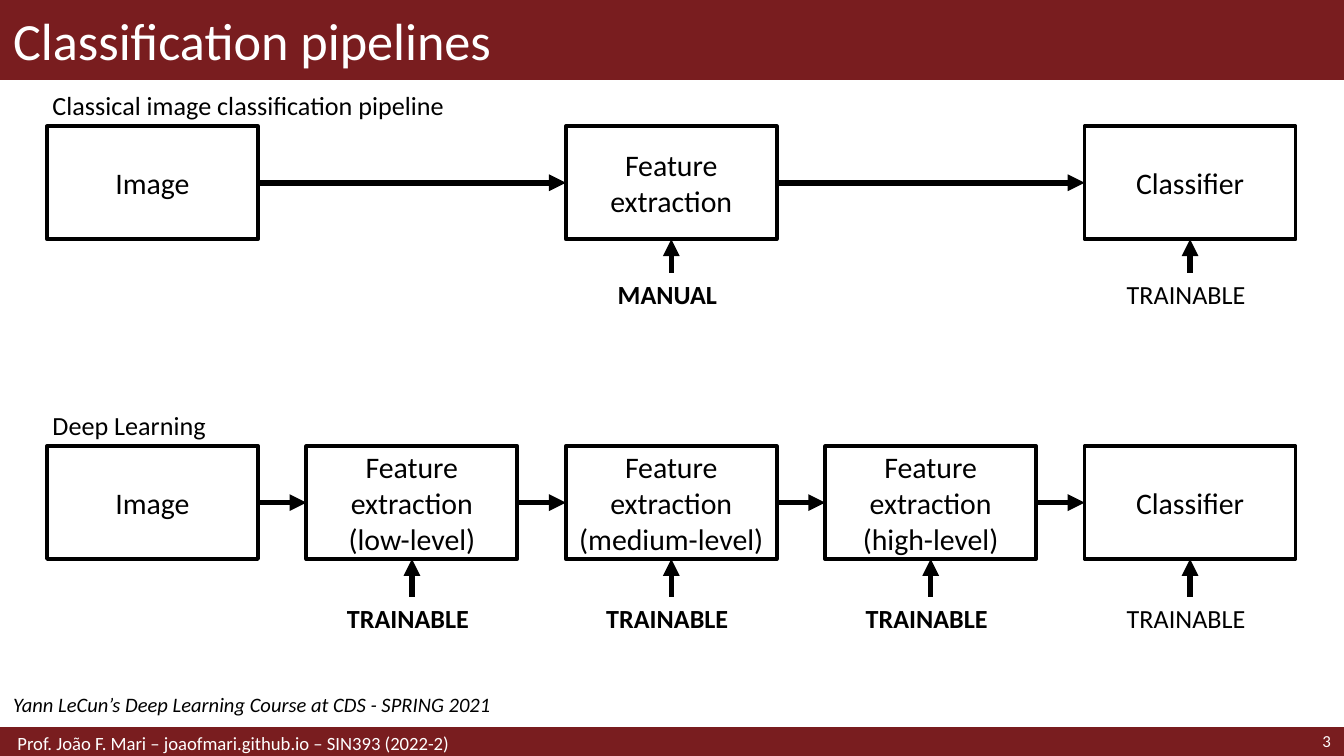
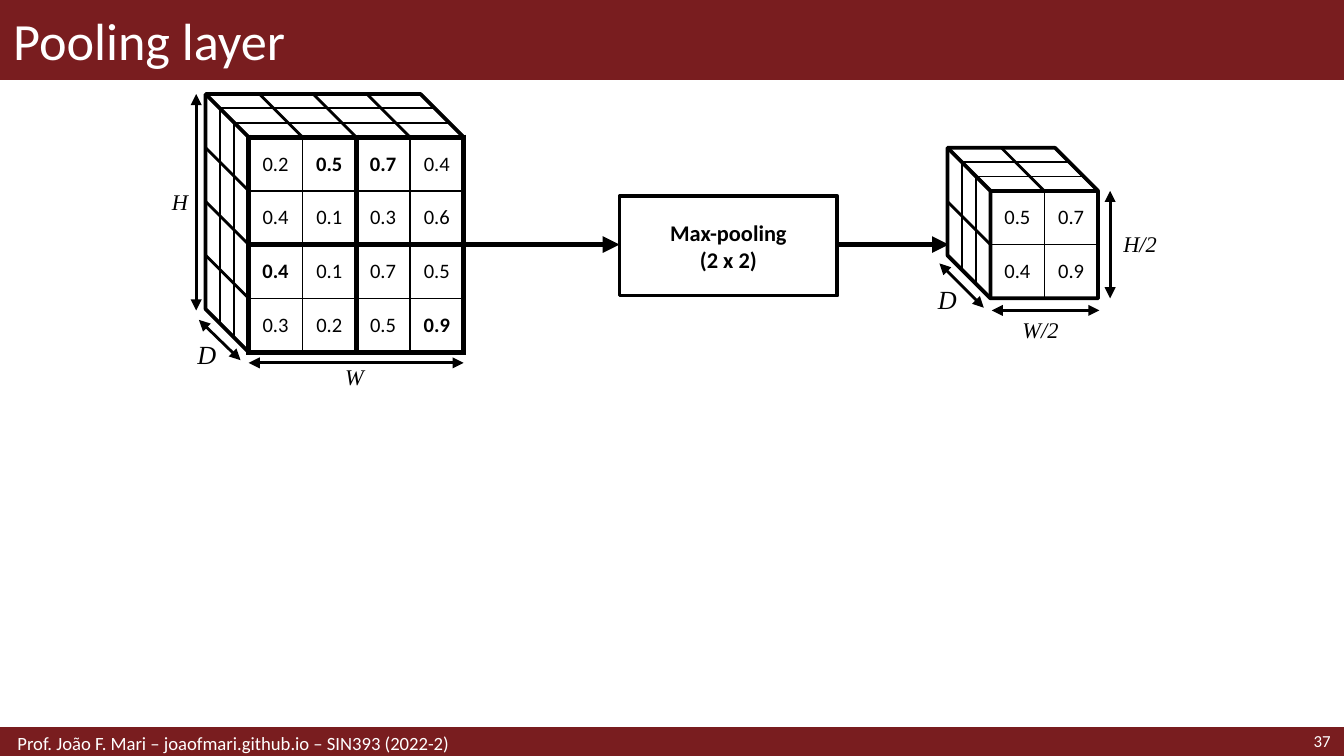
import pptx
import pptx.util
import pptx.dml.color
import pptx.enum.shapes
import pptx.enum.text
import pptx.oxml.ns
from lxml import etree

Inches = pptx.util.Inches
Pt = pptx.util.Pt
Align = pptx.enum.text.PP_ALIGN
Anchor = pptx.enum.text.MSO_ANCHOR
Shapes = pptx.enum.shapes.MSO_SHAPE

# Shared look
COLORS = {"band": "791D1F", "ink": "000000", "paper": "FFFFFF"}
SANS, SERIF = "Calibri", "Times New Roman"
FORMATS = {
    "title": {"size": Pt(28), "name": SANS},
    "footer": {"size": Pt(10), "name": SANS},
    "number": {"size": Pt(9), "name": SANS},
    "source": {"size": Pt(11), "name": SANS, "italic": True},
    "stage": {"size": Pt(16), "name": SANS},
    "label": {"size": Pt(14), "name": SANS},
    "strong label": {"size": Pt(14), "name": SANS, "bold": True},
    "layer": {"size": Pt(12), "name": SANS, "bold": True},
    "cell": {"size": Pt(11), "name": SANS},
    "strong cell": {"size": Pt(11), "name": SANS, "bold": True},
    "dimension": {"size": Pt(12), "name": SERIF, "italic": True},
    "depth": {"size": Pt(14), "name": SERIF, "italic": True},
}
INSETS = (0.1, 0.05, 0.1, 0.05)
LABEL_INSETS = (0.04, 0.05, 0.1, 0.05)
SLIDE_WIDTH = 10
SLIDE_HEIGHT = SLIDE_WIDTH * 9 / 16
FOOTER = "Prof. João F. Mari – joaofmari.github.io – SIN393 (2022-2)"

# Pipelines: stages are (column, lines, caption, caption format)
PIPELINES = [
    {"name": "Classical image classification pipeline", "top": 0.94, "caption_top": 2.03,
     "stages": [
         (0, ["Image"], None, None),
         (2, ["Feature extraction"], "MANUAL", "strong label"),
         (4, ["Classifier"], "TRAINABLE", "label")]},
    {"name": "Deep Learning", "top": 3.32, "caption_top": 4.44,
     "stages": [
         (0, ["Image"], None, None),
         (1, ["Feature extraction", "(low-level)"], "TRAINABLE", "strong label"),
         (2, ["Feature extraction", "(medium-level)"], "TRAINABLE", "strong label"),
         (3, ["Feature extraction", "(high-level)"], "TRAINABLE", "strong label"),
         (4, ["Classifier"], "TRAINABLE", "label")]},
]
SOURCE = "Yann LeCun’s Deep Learning Course at CDS - SPRING 2021"
STAGE_LEFT, STAGE_STEP, STAGE_WIDTH, STAGE_HEIGHT = 0.35, 1.93, 1.57, 0.84

# Pooling: input and output volumes
VOLUMES = [
    {"left": 1.85, "top": 1.02, "window": 2,
     "values": [[0.2, 0.5, 0.7, 0.4], [0.4, 0.1, 0.3, 0.6],
                [0.4, 0.1, 0.7, 0.5], [0.3, 0.2, 0.5, 0.9]]},
    {"left": 7.37, "top": 1.42, "window": None, "values": [[0.5, 0.7], [0.4, 0.9]]},
]
CELL, DEPTH, CHANNELS = 0.4, 0.32, 3
DIMENSIONS = [  # text, format, text place, arrow start, arrow end
    ("H", "dimension", (1.18, 1.35, 0.31, 0.3), (1.46, 2.31), (1.46, 0.7)),
    ("D", "depth", (1.37, 2.47, 0.31, 0.34), (1.48, 2.38), (1.79, 2.68)),
    ("W", "dimension", (2.47, 2.65, 0.36, 0.3), (1.85, 2.7), (3.45, 2.7)),
    ("H/2", "dimension", (8.26, 1.66, 0.57, 0.3), (8.26, 2.22), (8.26, 1.42)),
    ("D", "depth", (6.88, 2.06, 0.31, 0.34), (6.99, 1.96), (7.32, 2.29)),
    ("W/2", "dimension", (7.51, 2.3, 0.53, 0.3), (7.38, 2.31), (8.18, 2.31)),
]
POOL_LINES = ["Max-pooling", "(2 x 2)"]
POOL_PLACE = (4.61, 1.46, 1.62, 0.74)
FLOW_Y = 1.82
FLOW_ARROWS = [(3.45, 4.61), (6.23, 7.06)]


def rgb(color):
    return pptx.dml.color.RGBColor.from_string(COLORS[color])


def write(frame, lines, style, color="ink", align=Align.LEFT):
    for index, line in enumerate(lines):
        para = frame.add_paragraph() if index else frame.paragraphs[0]
        para.alignment = align
        span = para.add_run()
        span.text = line
        for key, value in FORMATS[style].items():
            setattr(span.font, key, value)
        span.font.color.rgb = rgb(color)


def set_frame(frame, anchor, insets, wrap=True):
    frame.word_wrap = wrap
    frame.vertical_anchor = anchor
    for side, inset in zip(("left", "top", "right", "bottom"), insets):
        setattr(frame, "margin_" + side, Inches(inset))


def add_text(page, place, text, style, color="ink", align=Align.LEFT,
             anchor=Anchor.MIDDLE, insets=INSETS, wrap=True):
    box = page.shapes.add_textbox(*map(Inches, place))
    set_frame(box.text_frame, anchor, insets, wrap)
    write(box.text_frame, [text], style, color, align)


def add_outline(page, kind, place, fill=None, line="ink", width=2):
    shape = page.shapes.add_shape(kind, *map(Inches, place))
    shape.shadow.inherit = False
    if fill:
        shape.fill.solid()
        shape.fill.fore_color.rgb = rgb(fill)
    else:
        shape.fill.background()
    shape.line.color.rgb = rgb(line)
    shape.line.width = Pt(width)
    return shape


def add_block(page, place, lines, style):
    block = add_outline(page, Shapes.RECTANGLE, place)
    set_frame(block.text_frame, Anchor.MIDDLE, INSETS)
    write(block.text_frame, lines, style, align=Align.CENTER)


def add_line(page, start, end, width, ends=()):
    line = page.shapes.add_connector(
        pptx.enum.shapes.MSO_CONNECTOR.STRAIGHT, *map(Inches, start + end))
    line.line.color.rgb = rgb("ink")
    line.line.width = Pt(width)
    outline = line.line._get_or_add_ln()
    for end_name in ends:
        etree.SubElement(outline, pptx.oxml.ns.qn("a:" + end_name), type="triangle")
    etree.SubElement(line._element.spPr, pptx.oxml.ns.qn("a:effectLst"))


def add_border(cell, side, width):
    properties = cell._tc.get_or_add_tcPr()
    border = etree.SubElement(properties, pptx.oxml.ns.qn("a:ln" + side), w=str(Pt(width)))
    fill = etree.SubElement(border, pptx.oxml.ns.qn("a:solidFill"))
    etree.SubElement(fill, pptx.oxml.ns.qn("a:srgbClr"), val=COLORS["ink"])


def add_page(deck, title, number):
    page = deck.slides.add_slide(deck.slide_layouts[6])
    for place, width in (((0, 0, 10, 0.59), 1), ((0, 5.42, 10, 0.21), 2)):
        add_outline(page, Shapes.RECTANGLE, place, "band", "band", width)
    add_text(page, (0, 0, 10, 0.59), title, "title", "paper")
    add_text(page, (8.86, 5.41, 1.14, 0.21), str(number), "number", "paper", Align.RIGHT)
    add_text(page, (0, 5.42, 6.89, 0.21), FOOTER, "footer", "paper",
             insets=(0.13, 0.05, 0.1, 0.05))
    return page


def add_pipeline(page, name, top, caption_top, stages):
    add_text(page, (STAGE_LEFT, top - 0.31, 5.51, 0.31), name, "label", insets=LABEL_INSETS)
    middle, bottom = top + STAGE_HEIGHT / 2, top + STAGE_HEIGHT
    previous_right = None
    for column, lines, caption, style in stages:
        left = STAGE_LEFT + column * STAGE_STEP
        center = left + STAGE_WIDTH / 2
        add_block(page, (left, top, STAGE_WIDTH, STAGE_HEIGHT), lines, "stage")
        if previous_right:
            add_line(page, (previous_right, middle), (left, middle), 3, ["tailEnd"])
        if caption:
            add_text(page, (left, caption_top, STAGE_WIDTH, 0.31), caption, style,
                     align=Align.CENTER, insets=LABEL_INSETS)
            add_line(page, (center, caption_top), (center, bottom), 3, ["tailEnd"])
        previous_right = left + STAGE_WIDTH


def window_max(values, row, column, window):
    top, left = row - row % window, column - column % window
    return max(max(line[left:left + window]) for line in values[top:top + window])


def add_grid(page, left, top, values, window):
    count = len(values)
    side = Inches(count * CELL)
    table = page.shapes.add_table(count, count, Inches(left), Inches(top), side, side).table
    table.first_row = table.horz_banding = False
    for index in range(count):
        table.rows[index].height = table.columns[index].width = Inches(CELL)

    def edge(index):
        return 3 if window and index % window == 0 else 1

    for row, line in enumerate(values):
        for column, value in enumerate(line):
            cell = table.cell(row, column)
            borders = {"L": column, "R": column + 1, "T": row, "B": row + 1}
            for name, index in borders.items():
                add_border(cell, name, edge(index))
            cell.fill.background()
            cell.vertical_anchor = Anchor.MIDDLE
            for name in ("left", "top", "right", "bottom"):
                setattr(cell, "margin_" + name, Inches(0.05))
            strong = window and value == window_max(values, row, column, window)
            write(cell.text_frame, [str(value)], "strong cell" if strong else "cell",
                  align=Align.CENTER)


def add_volume(page, left, top, values, window):
    add_grid(page, left, top, values, window)
    side = len(values) * CELL
    size = side + DEPTH
    cube = add_outline(page, Shapes.CUBE, (left - DEPTH, top - DEPTH, size, size))
    cube.rotation = 270
    cube.adjustments[0] = DEPTH / size
    # Channel slices on the left and top faces
    for channel in range(CHANNELS + 1):
        shift = DEPTH * channel / CHANNELS
        corner = (left - shift, top - shift)
        add_line(page, corner, (corner[0], corner[1] + side), 1)
        add_line(page, corner, (corner[0] + side, corner[1]), 1)
    # Slanted cell edges, with the shared corner drawn once
    offsets = [index * CELL for index in range(len(values) + 1)]
    corners = [(left, top + offset) for offset in offsets]
    corners += [(left + offset, top) for offset in offsets[1:]]
    for x, y in corners:
        add_line(page, (x, y), (x - DEPTH, y - DEPTH), 1.5)


def main():
    deck = pptx.Presentation()
    deck.slide_width, deck.slide_height = Inches(SLIDE_WIDTH), Inches(SLIDE_HEIGHT)

    # Classification pipelines
    page = add_page(deck, "Classification pipelines", 3)
    add_text(page, (0, 5.1, 5, 0.29), SOURCE, "source", anchor=Anchor.TOP)
    for pipeline in PIPELINES:
        add_pipeline(page, **pipeline)

    # Pooling layer
    page = add_page(deck, "Pooling layer", 37)
    for volume in VOLUMES:
        add_volume(page, **volume)
    add_block(page, POOL_PLACE, POOL_LINES, "layer")
    for text, style, place, start, end in DIMENSIONS:
        add_text(page, place, text, style, anchor=Anchor.TOP, wrap=not text.startswith("W"))
        add_line(page, start, end, 1.5, ["headEnd", "tailEnd"])
    for start, end in FLOW_ARROWS:
        add_line(page, (start, FLOW_Y), (end, FLOW_Y), 3, ["tailEnd"])

    deck.save("out.pptx")


if __name__ == "__main__":
    main()
